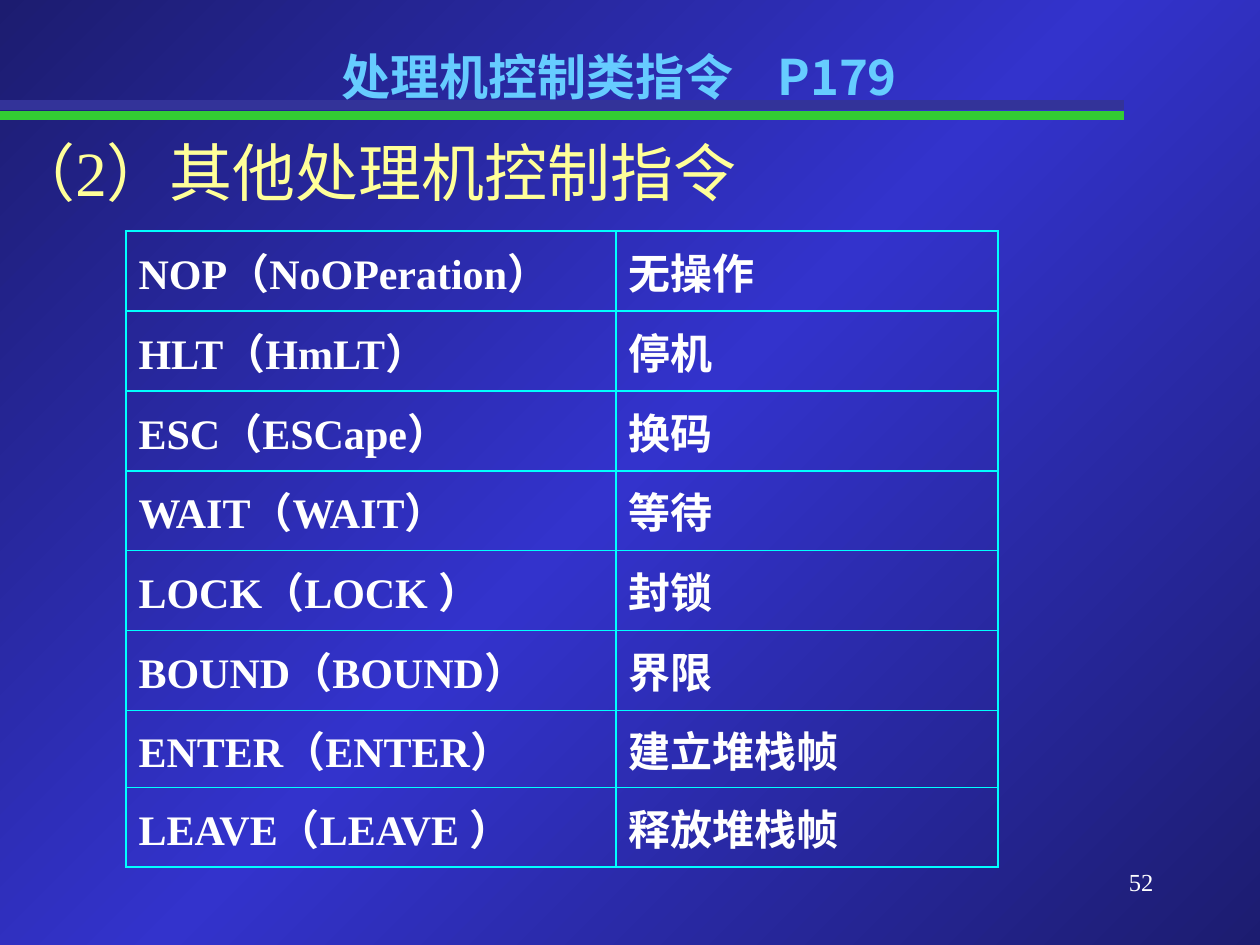
from copy import deepcopy
from dataclasses import dataclass

from lxml.etree import SubElement
from pptx import Presentation
from pptx.dml.color import RGBColor
from pptx.enum.shapes import MSO_CONNECTOR
from pptx.enum.text import MSO_ANCHOR, PP_ALIGN
from pptx.oxml.ns import qn
from pptx.util import Cm, Pt


@dataclass(frozen=True)
class Theme:
    edge: str = "1C1C70"
    middle: str = "3333CC"
    green: str = "33CC33"
    navy: str = "333399"
    title: str = "66CCFF"
    heading: str = "FFFF99"
    text: str = "FFFFFF"
    border: str = "00FFFF"
    serif: str = "Times New Roman"
    sans: str = "Noto Sans CJK SC"
    heading_size: int = 36
    title_size: int = 28
    table_size: int = 24
    number_size: int = 14


class SlideBuilder:
    def __init__(self, slide, theme):
        self.slide = slide
        self.theme = theme

    def background(self):
        fill = self.slide.background.fill
        fill.gradient()
        fill.gradient_angle = 315
        stop_list = self.slide.element.xpath(".//a:gsLst")[0]
        stop_list.append(deepcopy(stop_list[-1]))
        colors = (self.theme.edge, self.theme.middle, self.theme.edge)
        for stop, position, color in zip(fill.gradient_stops, (0, 0.5, 1), colors):
            stop.position = position
            stop.color.rgb = RGBColor.from_string(color)

    def rule(self, top, width, color):
        line = self.slide.shapes.add_connector(
            MSO_CONNECTOR.STRAIGHT, 0, Cm(top), Cm(width), Cm(top))
        line.line.color.rgb = RGBColor.from_string(color)
        line.line.width = Pt(5.5)
        SubElement(line.element.spPr, qn("a:effectLst"))

    def format_runs(self, paragraph, size, color, latin, bold=False):
        for run in paragraph.runs:
            run.font.size = Pt(size)
            run.font.bold = bold
            run.font.color.rgb = RGBColor.from_string(color)
            run.font.name = latin
            properties = run.font._element
            SubElement(properties, qn("a:ea"), typeface=self.theme.sans)

    def text(self, box, content, size, color, latin, bold=False,
             align=PP_ALIGN.LEFT, anchor=MSO_ANCHOR.TOP):
        shape = self.slide.shapes.add_textbox(*(Cm(length) for length in box))
        frame = shape.text_frame
        frame.text = content
        frame.word_wrap = True
        frame.vertical_anchor = anchor
        paragraph = frame.paragraphs[0]
        paragraph.alignment = align
        self.format_runs(paragraph, size, color, latin, bold)
        return paragraph

    def title(self, box, name, page):
        paragraph = self.text(box, name, self.theme.title_size, self.theme.title,
                              self.theme.sans, True, PP_ALIGN.CENTER, MSO_ANCHOR.MIDDLE)
        # A widened space separates the name from the page reference
        gap = deepcopy(paragraph.runs[0]._r)
        reference = deepcopy(gap)
        paragraph._p.extend((gap, reference))
        paragraph.runs[1].text = " "
        paragraph.runs[1].font._element.set("spc", "1900")
        paragraph.runs[2].text = page

    def cell_borders(self, cell):
        properties = cell._tc.get_or_add_tcPr()
        for index, side in enumerate(("lnL", "lnR", "lnT", "lnB")):
            line = properties.makeelement(qn(f"a:{side}"), {"w": str(Pt(1))})
            fill = SubElement(line, qn("a:solidFill"))
            SubElement(fill, qn("a:srgbClr"), val=self.theme.border)
            properties.insert(index, line)

    def table(self, left, top, widths, heights, rows):
        frame = self.slide.shapes.add_table(
            len(rows), len(widths), Cm(left), Cm(top),
            Cm(sum(widths)), Cm(sum(heights)))
        table = frame.table
        table.first_row = False
        table.horz_banding = False
        for column, width in zip(table.columns, widths):
            column.width = Cm(width)
        for row, height, values in zip(table.rows, heights, rows):
            row.height = Cm(height)
            for cell, value in zip(row.cells, values):
                cell.text_frame.text = value
                cell.vertical_anchor = MSO_ANCHOR.MIDDLE
                cell.fill.background()
                self.cell_borders(cell)
                self.format_runs(cell.text_frame.paragraphs[0], self.theme.table_size,
                                 self.theme.text, self.theme.serif, True)


INSTRUCTIONS = [
    ("NOP（NoOPeration）", "无操作"),
    ("HLT（HmLT）", "停机"),
    ("ESC（ESCape）", "换码"),
    ("WAIT（WAIT）", "等待"),
    ("LOCK（LOCK ）", "封锁"),
    ("BOUND（BOUND）", "界限"),
    ("ENTER（ENTER）", "建立堆栈帧"),
    ("LEAVE（LEAVE ）", "释放堆栈帧"),
]


def main():
    theme = Theme()
    presentation = Presentation()
    presentation.slide_width = Cm(25.4)
    presentation.slide_height = Cm(19.05)
    slide = presentation.slides.add_slide(presentation.slide_layouts[6])
    builder = SlideBuilder(slide, theme)

    # Background and double rule
    builder.background()
    builder.rule(2.33, 22.65, theme.green)
    builder.rule(2.12, 22.65, theme.navy)

    # Page number, heading and title
    builder.text((18.2, 17.35, 5.3, 1.27), "52", theme.number_size, theme.text,
                 theme.serif, align=PP_ALIGN.RIGHT)
    heading = builder.text((0, 2.75, 21.6, 1.7), "（2）其他处理机控制指令",
                           theme.heading_size, theme.heading, theme.serif)
    heading.line_spacing = 0.9
    builder.title((1.27, 0.76, 22.43, 1.55), "处理机控制类指令", "P179")

    # Instruction table
    heights = [1.61] * 6 + [1.55, 1.61]
    builder.table(2.54, 4.66, (9.88, 7.7), heights, INSTRUCTIONS)

    presentation.save("out.pptx")


if __name__ == "__main__":
    main()
